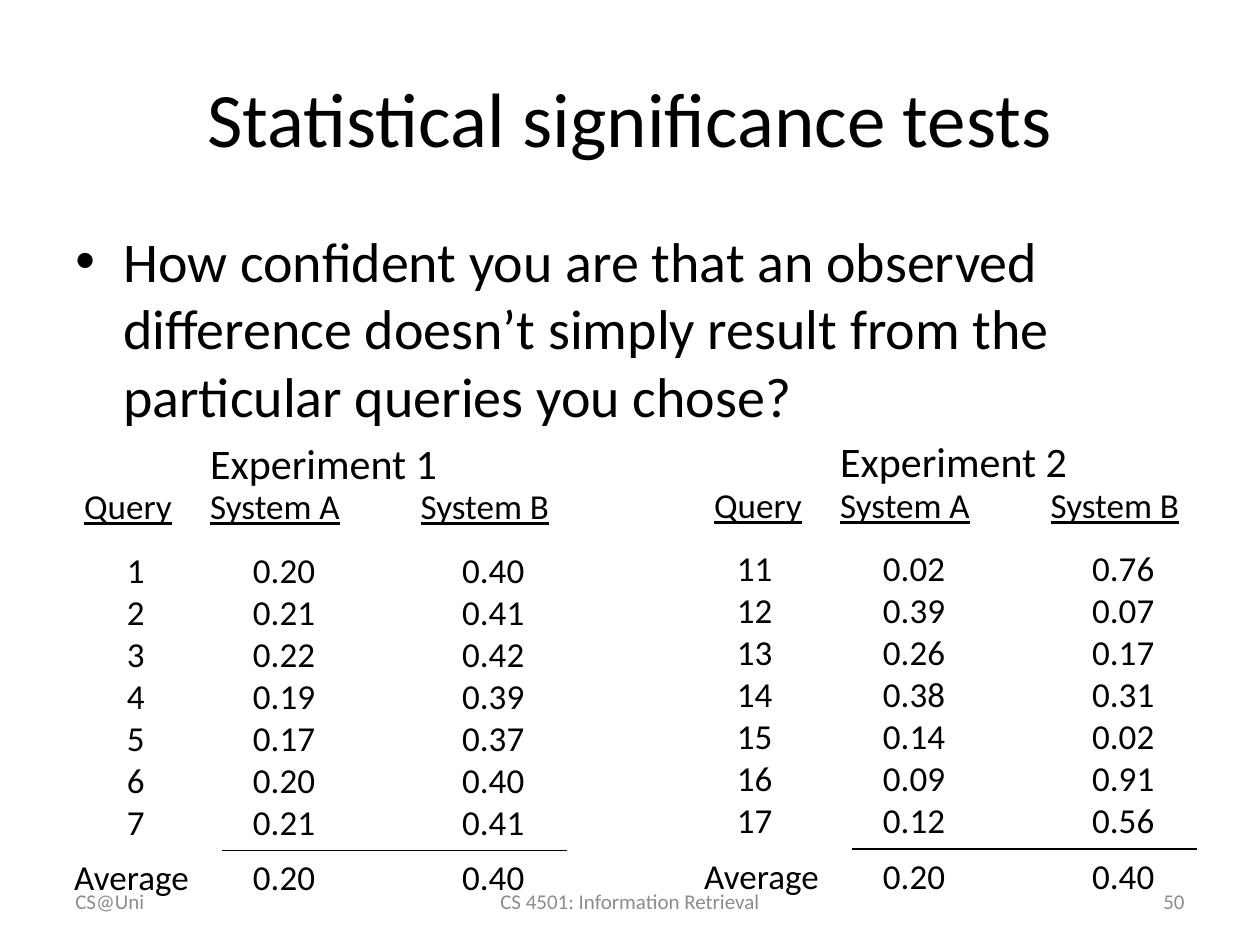
import pptx
import pptx.dml.color
import pptx.enum.shapes
import pptx.enum.text
import pptx.oxml
import pptx.util
from pptx.util import Inches

COLORS = {"text": "000000", "footer": "8C8C8C"}
FONT = "Calibri"
ALIGN = pptx.enum.text.PP_ALIGN
ANCHOR = pptx.enum.text.MSO_ANCHOR

EXPERIMENTS = [
    {
        "title": "Experiment 1",
        "left": 0.49, "top": 3.42,
        "queries": ["1", "2", "3", "4", "5", "6", "7"],
        "query_offset": 0.42, "query_width": 0.34,
        "System A": ["0.20", "0.21", "0.22", "0.19", "0.17", "0.20", "0.21"],
        "System B": ["0.40", "0.41", "0.42", "0.39", "0.37", "0.40", "0.41"],
        "averages": ["0.20", "0.40"],
    },
    {
        "title": "Experiment 2",
        "left": 5.49, "top": 3.41,
        "queries": ["11", "12", "13", "14", "15", "16", "17"],
        "query_offset": 0.26, "query_width": 0.48,
        "System A": ["0.02", "0.39", "0.26", "0.38", "0.14", "0.09", "0.12"],
        "System B": ["0.76", "0.07", "0.17", "0.31", "0.02", "0.91", "0.56"],
        "averages": ["0.20", "0.40"],
    },
]


def add_text(shapes, box, lines, size, color="text", align=ALIGN.LEFT,
             anchor=ANCHOR.TOP, wrap=False, underline=False):
    """Add a text box with one paragraph per line; box is in inches."""
    label = shapes.add_textbox(*map(Inches, box))
    frame = label.text_frame
    frame.word_wrap = wrap
    frame.vertical_anchor = anchor
    font_format = {"name": FONT, "size": pptx.util.Pt(size)}
    if underline:
        font_format["underline"] = True
    for index, line in enumerate(lines):
        para = frame.paragraphs[0] if index == 0 else frame.add_paragraph()
        para.alignment = align
        span = para.add_run()
        span.text = line
        for name, value in font_format.items():
            setattr(span.font, name, value)
        span.font.color.rgb = pptx.dml.color.RGBColor.from_string(COLORS[color])
    return label


def add_bullet(para, indent):
    properties = para._p.get_or_add_pPr()
    properties.set("marL", str(Inches(indent)))
    properties.set("indent", str(-Inches(indent)))
    namespace = pptx.oxml.ns.nsdecls("a")
    for xml in (f'<a:buFont {namespace} typeface="Arial"/>',
                f'<a:buChar {namespace} char="•"/>'):
        properties.append(pptx.oxml.parse_xml(xml))


def add_rule(shapes, left, top, width):
    rule = shapes.add_connector(
        pptx.enum.shapes.MSO_CONNECTOR.STRAIGHT,
        Inches(left), Inches(top), Inches(left + width), Inches(top))
    rule.line.width = pptx.util.Pt(1)
    rule.line.color.rgb = pptx.dml.color.RGBColor.from_string(COLORS["text"])
    rule._element.spPr.append(pptx.oxml.parse_xml(
        f'<a:effectLst {pptx.oxml.ns.nsdecls("a")}/>'))


def add_heading(page, box):
    add_text(page.shapes, box, ["Statistical significance tests"], 44,
             align=ALIGN.CENTER, anchor=ANCHOR.MIDDLE, wrap=True)


def add_question(page, box):
    label = add_text(
        page.shapes, box,
        ["How confident you are that an observed difference doesn’t simply "
         "result from the particular queries you chose?"], 32, wrap=True)
    add_bullet(label.text_frame.paragraphs[0], 0.38)


def add_experiment(page, experiment):
    """Group the query column, both system columns and their averages."""
    shapes = page.shapes.add_group_shape().shapes
    left, top = experiment["left"], experiment["top"]
    header_top, values_top, average_top = top + 0.38, top + 0.88, top + 3.32
    row_height, values_height, value_width = 0.43, 2.45, 0.7

    add_text(shapes, (left + 1.08, top, 2.02, 0.5), [experiment["title"]], 24)
    add_text(shapes, (left + 0.08, header_top, 0.9, row_height),
             ["Query"], 20, underline=True)
    add_text(shapes, (left + experiment["query_offset"], values_top,
                      experiment["query_width"], values_height),
             experiment["queries"], 20)
    add_text(shapes, (left, average_top, 1.12, row_height), ["Average"], 20)

    for index, system in enumerate(("System A", "System B")):
        column = left + 1.08 + index * 1.67
        value_left = left + 1.42 + index * 1.66
        add_text(shapes, (column, header_top, 1.24, row_height),
                 [system], 20, underline=True)
        add_text(shapes, (value_left, values_top, value_width, values_height),
                 experiment[system], 20)
        add_text(shapes, (value_left, average_top, value_width, row_height),
                 [experiment["averages"][index]], 20)
    add_rule(shapes, left + 1.27, top + 3.33, 2.74)


def add_footer(page, box):
    left, top, width, height = box
    side, middle = 2.33, 3.17
    parts = [
        ("CS@Uni", left, side, ALIGN.LEFT),
        ("CS 4501: Information Retrieval", left + (width - middle) / 2,
         middle, ALIGN.CENTER),
        ("50", left + width - side, side, ALIGN.RIGHT),
    ]
    for text, part_left, part_width, align in parts:
        add_text(page.shapes, (part_left, top, part_width, height), [text], 12,
                 color="footer", align=align, anchor=ANCHOR.MIDDLE, wrap=True)


def main():
    deck = pptx.Presentation()
    deck.slide_width, deck.slide_height = Inches(10), Inches(7.5)
    page = deck.slides.add_slide(deck.slide_layouts[6])
    add_heading(page, (0.5, 0.3, 9, 1.25))
    add_question(page, (0.5, 1.75, 9, 4.95))
    for experiment in EXPERIMENTS:
        add_experiment(page, experiment)
    add_footer(page, (0.5, 6.95, 9, 0.4))
    deck.save("out.pptx")


if __name__ == "__main__":
    main()
